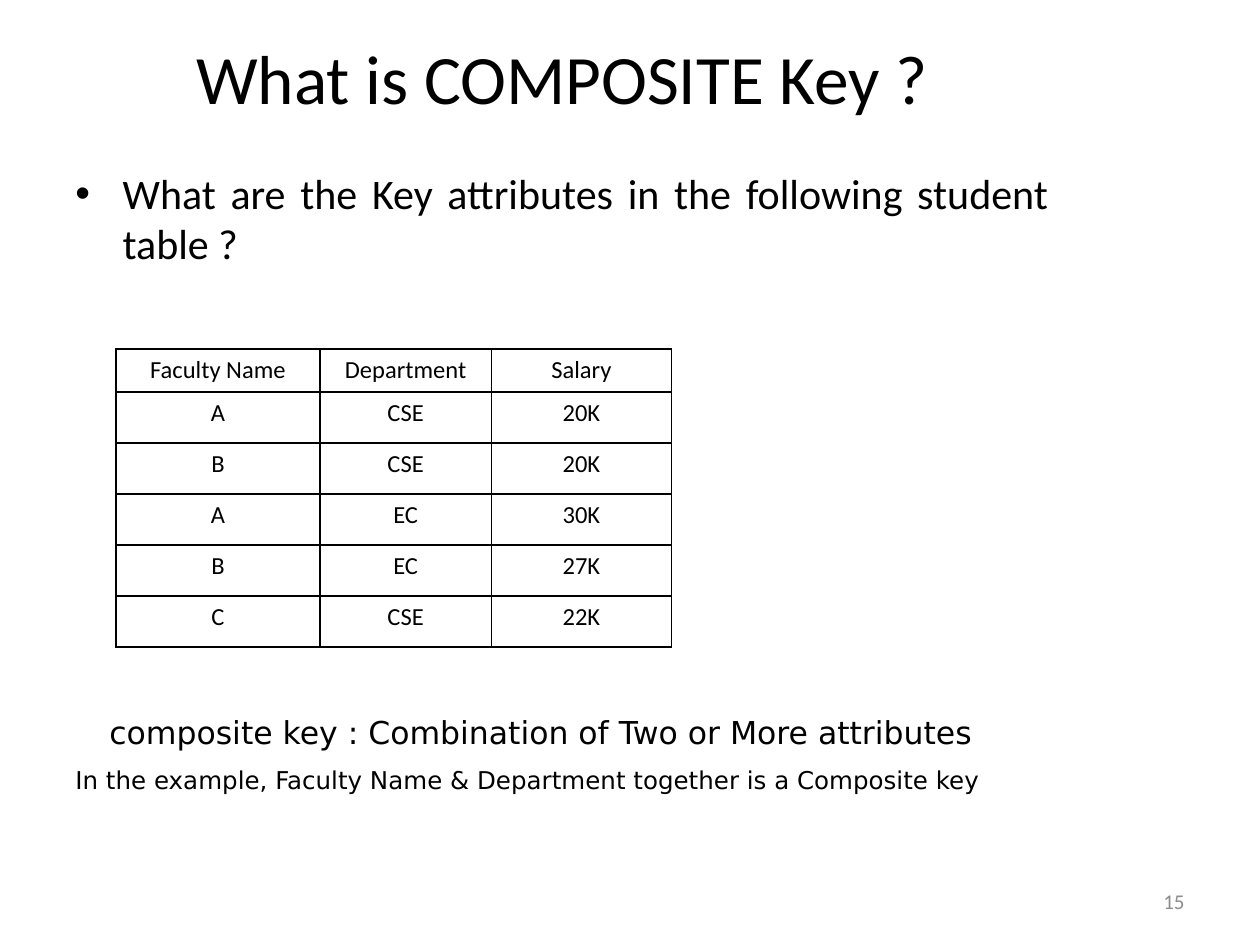
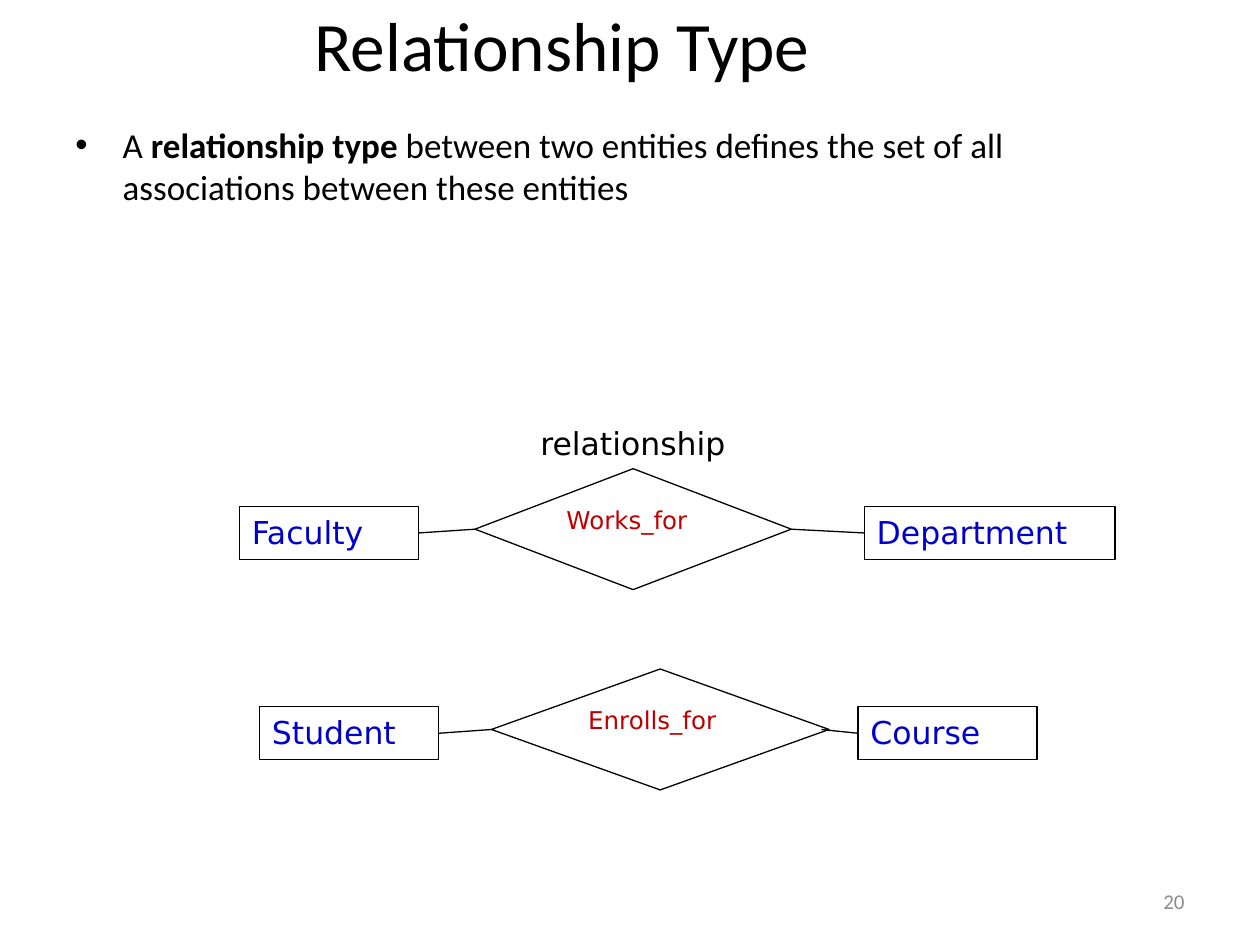
from dataclasses import dataclass

from lxml import etree
from pptx import Presentation
from pptx.dml.color import RGBColor
from pptx.enum.shapes import MSO_CONNECTOR, MSO_SHAPE
from pptx.enum.text import MSO_ANCHOR, PP_ALIGN
from pptx.oxml.ns import qn
from pptx.util import Inches, Pt

LEFT, MID, RIGHT, FULL = PP_ALIGN.LEFT, PP_ALIGN.CENTER, PP_ALIGN.RIGHT, PP_ALIGN.JUSTIFY
TOP, CENTRE = MSO_ANCHOR.TOP, MSO_ANCHOR.MIDDLE
RECT, DIAMOND = MSO_SHAPE.RECTANGLE, MSO_SHAPE.DIAMOND
STRAIGHT = MSO_CONNECTOR.STRAIGHT
WIDE, HIGH = Inches(10), Inches(7.5)
COLS, ROWS = 100, 75


@dataclass(frozen=True)
class Theme:
    """Colours, fonts and type sizes of the deck."""
    ink: str = "000000"
    paper: str = "FFFFFF"
    blue: str = "0000CC"
    red: str = "C00000"
    grey: str = "8C8C8C"
    main: str = "Calibri"
    note: str = "DejaVu Sans"
    title: float = 39.6
    large: int = 24
    body: int = 20
    label: int = 18
    small: int = 14
    foot: int = 12
    line: float = 0.75
    rule: int = 1


THEME = Theme()


@dataclass(frozen=True)
class Box:
    """A region in grid columns and rows."""
    x: float
    y: float
    w: float
    h: float

    def sub(self, x, y, w, h):
        """Return a box placed relative to this one."""
        return Box(self.x + x, self.y + y, w, h)

    def emu(self):
        """Return left, top, width and height as lengths."""
        return col(self.x), row(self.y), col(self.w), row(self.h)


def col(count):
    """Turn columns into a length."""
    return round(WIDE * count / COLS)


def row(count):
    """Turn rows into a length."""
    return round(HIGH * count / ROWS)


def style(frame, size, font, hue=THEME.ink, align=LEFT):
    """Format every run of a text frame."""
    for para in frame.paragraphs:
        para.alignment = align
        for run in para.runs:
            run.font.size = Pt(size)
            run.font.name = font
            run.font.color.rgb = RGBColor.from_string(hue)


def write(slide, box, text, size, font, hue=THEME.ink, align=LEFT, anchor=TOP, wrap=True):
    """Add a text box and return its frame."""
    frame = slide.shapes.add_textbox(*box.emu()).text_frame
    frame.word_wrap = wrap
    frame.vertical_anchor = anchor
    frame.text = text
    style(frame, size, font, hue, align)
    return frame


def bullet(slide, box, parts, size, align=LEFT):
    """Add a bulleted paragraph whose odd parts are bold."""
    frame = write(slide, box, "", size, THEME.main)
    para = frame.paragraphs[0]
    for num, part in enumerate(parts):
        run = para.add_run()
        run.text = part
        run.font.bold = num % 2 == 1
    style(frame, size, THEME.main, align=align)
    para.space_before = Pt(size * 0.2)
    props = para._p.get_or_add_pPr()
    props.set("marL", str(col(3.75)))
    props.set("indent", str(-col(3.75)))
    etree.SubElement(props, qn("a:buFont")).set("typeface", "Arial")
    etree.SubElement(props, qn("a:buChar")).set("char", "•")


def edge(cell):
    """Draw the four borders of a table cell."""
    props = cell._tc.get_or_add_tcPr()
    for side in ("lnL", "lnR", "lnT", "lnB"):
        line = etree.SubElement(props, qn(f"a:{side}"), w=str(Pt(THEME.rule)))
        fill = etree.SubElement(line, qn("a:solidFill"))
        etree.SubElement(fill, qn("a:srgbClr"), val=THEME.ink)


def grid(slide, box, data, widths, head):
    """Add a plain ruled table with a lower first row."""
    table = slide.shapes.add_table(len(data), len(widths), *box.emu()).table
    table.first_row = table.horz_banding = False
    for item, width in zip(table.columns, widths):
        item.width = col(width)
    rest = (box.h - head) / (len(data) - 1)
    for num, (item, texts) in enumerate(zip(table.rows, data)):
        item.height = row(rest if num else head)
        for cell, text in zip(item.cells, texts):
            edge(cell)
            cell.fill.solid()
            cell.fill.fore_color.rgb = RGBColor.from_string(THEME.paper)
            cell.text = text
            style(cell.text_frame, THEME.small, THEME.main, align=MID)


def node(slide, box, kind, text, size, hue):
    """Add an outlined shape with its name."""
    shape = slide.shapes.add_shape(kind, *box.emu())
    shape.shadow.inherit = False
    shape.fill.background()
    shape.line.color.rgb = RGBColor.from_string(THEME.ink)
    shape.line.width = Pt(THEME.line)
    frame = shape.text_frame
    frame.vertical_anchor = TOP
    frame.text = text
    style(frame, size, THEME.note, hue)


def link(slide, x1, y1, x2, y2):
    """Join two grid points by a thin line."""
    line = slide.shapes.add_connector(STRAIGHT, col(x1), row(y1), col(x2), row(y2))
    line.line.color.rgb = RGBColor.from_string(THEME.ink)
    line.line.width = Pt(THEME.line)
    etree.SubElement(line._element.spPr, qn("a:effectLst"))


def relate(slide, box, first, verb, last, dip=0):
    """Draw two entities joined through a relationship diamond."""
    (name, span), (act, start, width), (goal, size) = first, verb, last
    left = box.sub(0, 3, span, 4.2)
    gem = box.sub(start, 0, width, box.h)
    right = box.sub(box.w - size, 3, size, 4.2)
    node(slide, left, RECT, name, THEME.label, THEME.blue)
    node(slide, gem, DIAMOND, act, THEME.small, THEME.red)
    node(slide, right, RECT, goal, THEME.label, THEME.blue)
    side, tip = left.y + left.h / 2, gem.y + gem.h / 2
    link(slide, left.x + left.w, side, gem.x, tip)
    link(slide, gem.x + gem.w - dip, tip, right.x, side)


def base(deck, title, box, page):
    """Add a slide with its title and page number."""
    slide = deck.slides.add_slide(deck.slide_layouts[6])
    write(slide, box, title, THEME.title, THEME.main, align=MID, anchor=CENTRE)
    write(slide, Box(71.7, 69.5, 23.3, 4), page, THEME.foot, THEME.main,
          THEME.grey, RIGHT, CENTRE)
    return slide


def keys(deck):
    """Build the composite key slide."""
    slide = base(deck, "What is COMPOSITE Key ?", Box(5, 3.5, 79.2, 5.2), "15")
    bullet(slide, Box(5, 12.8, 79.2, 38.5),
           ["What are the Key attributes in the following student table ?"],
           THEME.large, FULL)
    data = [
        ("Faculty Name", "Department", "Salary"),
        ("A", "CSE", "20K"),
        ("B", "CSE", "20K"),
        ("A", "EC", "30K"),
        ("B", "EC", "27K"),
        ("C", "CSE", "22K"),
    ]
    grid(slide, Box(9.2, 27.7, 44.2, 23.65), data, (16.2, 13.6, 14.3), 3.4)
    write(slide, Box(7.7, 56.1, 72.8, 4),
          "composite key : Combination of Two or More attributes",
          THEME.label, THEME.note)
    write(slide, Box(5, 60.2, 75.5, 3.4),
          "In the example, Faculty Name & Department together is a Composite key",
          THEME.small, THEME.note)


def types(deck):
    """Build the relationship type slide."""
    slide = base(deck, "Relationship Type", Box(5, 0.6, 79.2, 5.8), "20")
    bullet(slide, Box(5, 9.3, 81.1, 61.3),
           ["A ", "relationship type",
            " between two entities defines the set of all associations between these entities"],
           THEME.body)
    relate(slide, Box(19, 37.2, 69.5, 9.6), ("Faculty", 14.2),
           ("Works_for", 18.7, 25.1), ("Department", 19.9))
    relate(slide, Box(20.6, 53.1, 61.7, 9.6), ("Student", 14.2),
           ("Enrolls_for", 18.4, 26.8), ("Course", 14.2), 0.6)
    write(slide, Box(41.9, 33.2, 16.8, 4), "relationship",
          THEME.label, THEME.note, wrap=False)


def main():
    """Build and save the deck."""
    deck = Presentation()
    deck.slide_width, deck.slide_height = WIDE, HIGH
    keys(deck)
    types(deck)
    deck.save("out.pptx")


if __name__ == "__main__":
    main()
